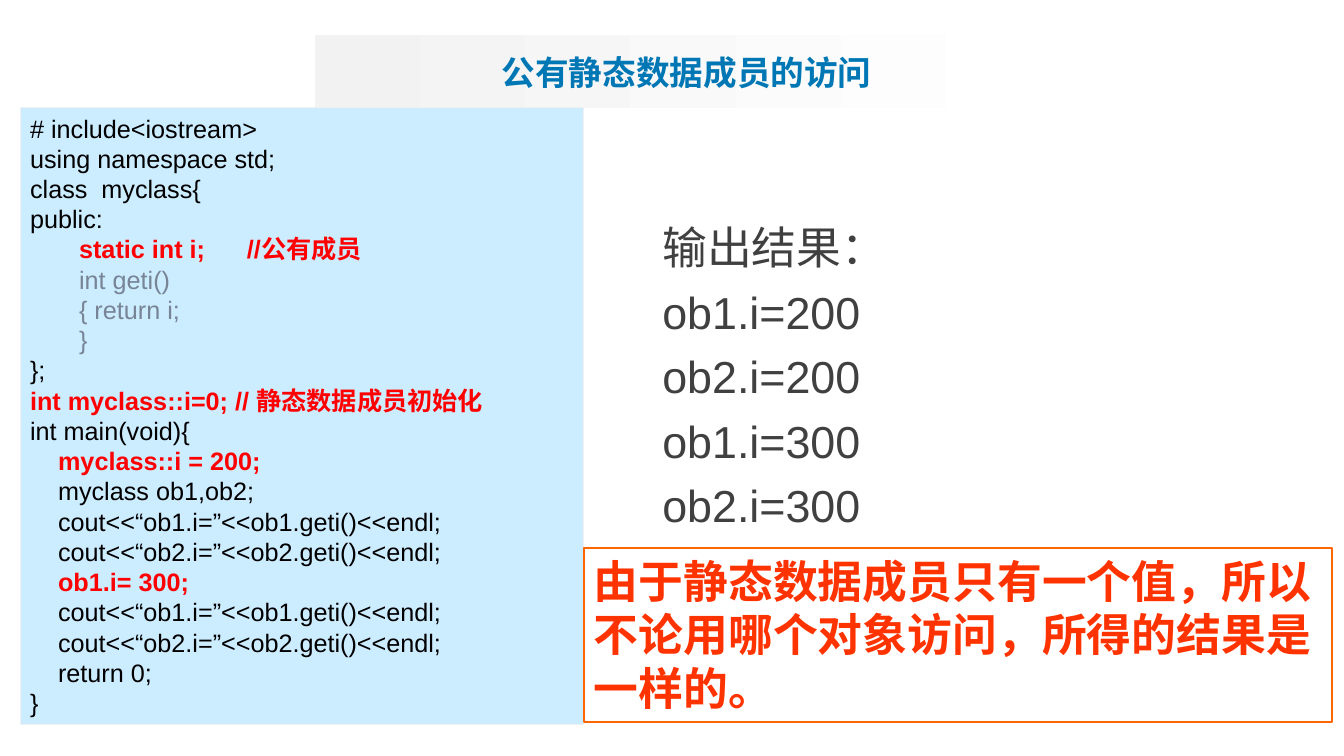
from lxml.etree import SubElement
from pptx import Presentation
from pptx.dml.color import RGBColor
from pptx.enum.shapes import MSO_SHAPE as SHAPE
from pptx.enum.text import MSO_ANCHOR as ANCHOR, MSO_AUTO_SIZE as FIT, PP_ALIGN as ALIGN
from pptx.oxml.ns import qn
from pptx.util import Inches, Pt

COLORS = {"title": "0077B5", "text": "404040", "code": "000000", "key": "FF0000",
          "method": "778495", "note": "FF3300", "note_line": "FF6600",
          "code_fill": "CCECFF", "code_line": "F0F0F0",
          "pill": "F2F2F2", "white": "FFFFFF"}
CJK = "Noto Sans CJK SC"


def rgb(name):
    return RGBColor.from_string(COLORS[name])


def add_run(p, text, size, color, bold=False, font="Arial"):
    r = p.add_run()
    r.text = text
    for name, value in {"size": Pt(size), "bold": bold, "name": font}.items():
        setattr(r.font, name, value)
    r.font.color.rgb = rgb(color)
    SubElement(r.font._element, qn("a:ea"), typeface=CJK)


prs = Presentation()
prs.slide_width, prs.slide_height = Inches(13.33), Inches(7.5)
s = prs.slides.add_slide(prs.slide_layouts[5])

# Title in a rounded bar that fades to white
title = s.shapes.title
for side, value in {"left": 3.12, "top": 0.35, "width": 7.38, "height": 0.72}.items():
    setattr(title, side, Inches(value))
geom = SubElement(title._element.spPr, qn("a:prstGeom"), prst="roundRect")
SubElement(SubElement(geom, qn("a:avLst")), qn("a:gd"), name="adj", fmla="val 42300")
title.fill.gradient()
title.fill.gradient_angle = 0
for stop, color, position in zip(title.fill.gradient_stops, ("pill", "white"), (0, 0.99)):
    stop.color.rgb = rgb(color)
    stop.position = position
tf = title.text_frame
tf.auto_size, tf.vertical_anchor = FIT.NONE, ANCHOR.MIDDLE
p = tf.paragraphs[0]
p.alignment = ALIGN.CENTER
add_run(p, "公有静态数据成员的访问", 24, "title", True, CJK)

# Program output
output = ["输出结果：", "ob1.i=200", "ob2.i=200", "ob1.i=300", "ob2.i=300"]
tf = s.shapes.add_textbox(Inches(6.47), Inches(2.04), Inches(3.21), Inches(3.27)).text_frame
tf.word_wrap, tf.vertical_anchor = True, ANCHOR.MIDDLE
for i, line in enumerate(output):
    p = tf.add_paragraph() if i else tf.paragraphs[0]
    p.line_spacing = 1.2
    add_run(p, line, 32, "text")

# Code listing and conclusion: each line is its text and its style
code = [
    ("# include<iostream>", "code"),
    ("using namespace std;", "code"),
    ("class  myclass{", "code"),
    ("public:", "code"),
    ("       static int i;      //公有成员", "key"),
    ("       int geti()", "method"),
    ("       { return i;", "method"),
    ("       }", "method"),
    ("};", "code"),
    ("int myclass::i=0; // 静态数据成员初始化", "key"),
    ("int main(void){", "code"),
    ("    myclass::i = 200;", "key"),
    ("    myclass ob1,ob2;", "code"),
    ("    cout<<“ob1.i=”<<ob1.geti()<<endl;", "code"),
    ("    cout<<“ob2.i=”<<ob2.geti()<<endl;", "code"),
    ("    ob1.i= 300;", "key"),
    ("    cout<<“ob1.i=”<<ob1.geti()<<endl;", "code"),
    ("    cout<<“ob2.i=”<<ob2.geti()<<endl;", "code"),
    ("    return 0;", "code"),
    ("}", "code"),
]
note = [("由于静态数据成员只有一个值，所以不论用哪个对象访问，所得的结果是一样的。", "note")]
panels = [
    ((0.2, 1.07, 5.59, 6.12), "code_fill", "code_line", 0.75, code, 18, "Arial"),
    ((5.79, 5.44, 7.42, 1.72), "white", "note_line", 1.5, note, 32, CJK),
]
for box, fill, line, weight, lines, size, font in panels:
    sp = s.shapes.add_shape(SHAPE.RECTANGLE, *map(Inches, box))
    sp.shadow.inherit = False
    sp.fill.solid()
    sp.fill.fore_color.rgb = rgb(fill)
    sp.line.color.rgb = rgb(line)
    sp.line.width = Pt(weight)
    tf = sp.text_frame
    tf.word_wrap, tf.vertical_anchor = True, ANCHOR.TOP
    for i, (text, style) in enumerate(lines):
        p = tf.add_paragraph() if i else tf.paragraphs[0]
        p.alignment = ALIGN.LEFT
        bold = style in ("key", "note")
        body = text.lstrip()
        indent = text[:len(text) - len(body)]
        if indent:
            add_run(p, indent, size, "code")
        add_run(p, body, size, style, bold, font)

prs.save("out.pptx")
